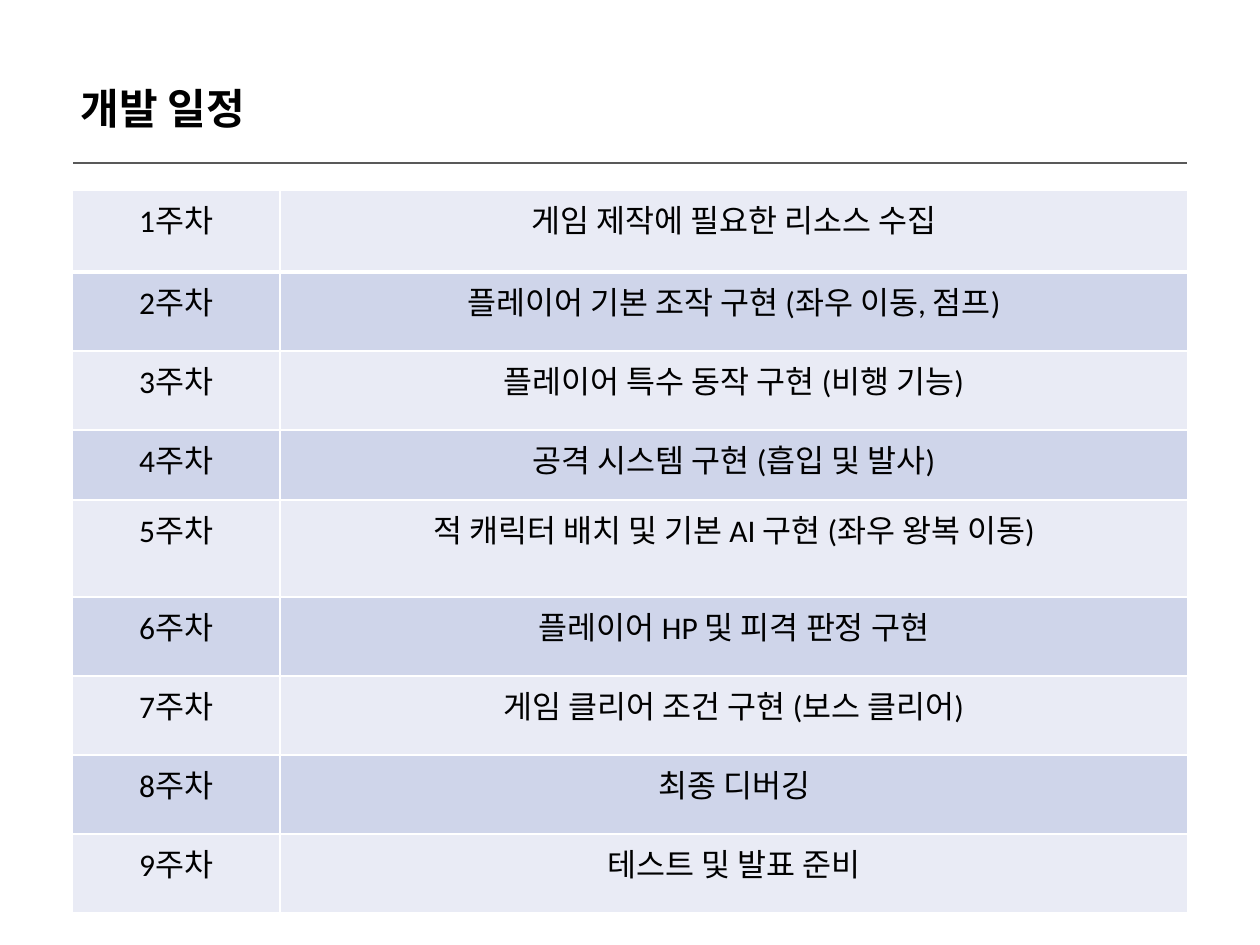
from dataclasses import dataclass

from lxml.etree import SubElement
from pptx import Presentation
from pptx.dml.color import RGBColor
from pptx.enum.text import MSO_ANCHOR as Anchor, PP_ALIGN as Align
from pptx.oxml.ns import qn
from pptx.util import Emu, Pt

PX_PER_INCH = 126


@dataclass(frozen=True)
class Theme:
    ink: str = "000000"
    rule: str = "595959"
    grid: str = "FFFFFF"
    bands: tuple = ("E9EBF5", "CFD5EA")
    latin: str = "Calibri"
    korean: str = "Noto Sans CJK KR"
    title_size: int = 24
    body_size: int = 18


def px(length):
    return Emu(round(length * 914400 / PX_PER_INCH))


class SlideBuilder:
    def __init__(self, slide, theme):
        self.slide = slide
        self.theme = theme

    def table(self, left, top, widths, heights):
        """Add an unstyled grid with the given column widths and row heights."""
        grid = self.slide.shapes.add_table(
            len(heights), len(widths), px(left), px(top),
            px(sum(widths)), px(sum(heights))).table
        grid.first_row = grid.horz_banding = False
        for column, width in zip(grid.columns, widths):
            column.width = px(width)
        for row, height in zip(grid.rows, heights):
            row.height = px(height)
        return grid

    def borders(self, cell, color, **points):
        """Draw the named sides (L, R, T, B, in that order) in points."""
        properties = cell._tc.get_or_add_tcPr()
        for side, width in points.items():
            line = SubElement(properties, qn(f"a:ln{side}"), w=str(Pt(width)))
            fill = SubElement(line, qn("a:solidFill"))
            SubElement(fill, qn("a:srgbClr"), val=color)

    def text(self, cell, words, latin, align=Align.LEFT, **style):
        paragraph = cell.text_frame.paragraphs[0]
        paragraph.alignment = align
        run = paragraph.add_run()
        run.text = words
        for name, value in {"name": latin, **style}.items():
            setattr(run.font, name, value)
        run.font.color.rgb = RGBColor.from_string(self.theme.ink)
        SubElement(run._r.get_or_add_rPr(), qn("a:ea"),
                   typeface=self.theme.korean)

    def heading(self, words, left, top, width, height):
        """Add a title with a rule below it."""
        cell = self.table(left, top, [width], [height]).cell(0, 0)
        cell_format = {
            "vertical_anchor": Anchor.MIDDLE,
            "margin_left": px(9), "margin_right": px(9),
            "margin_top": px(5), "margin_bottom": px(5),
        }
        for name, value in cell_format.items():
            setattr(cell, name, value)
        self.borders(cell, self.theme.rule, B=1)
        cell.fill.background()
        self.text(cell, words, self.theme.korean,
                  size=Pt(self.theme.title_size), bold=True)

    def schedule(self, tasks, left, top, widths, heights):
        """Add one banded row per week, with a thick line under the first."""
        grid = self.table(left, top, widths, heights)
        for index, task in enumerate(tasks):
            band = RGBColor.from_string(self.theme.bands[index % 2])
            for column, words in enumerate((f"{index + 1}주차", task)):
                cell = grid.cell(index, column)
                self.borders(cell, self.theme.grid, L=1, R=1,
                             T=3 if index == 1 else 1,
                             B=3 if index == 0 else 1)
                cell.fill.solid()
                cell.fill.fore_color.rgb = band
                self.text(cell, words, self.theme.latin, Align.CENTER,
                          size=Pt(self.theme.body_size))


def main():
    deck = Presentation()
    deck.slide_width, deck.slide_height = px(1260), px(945)
    builder = SlideBuilder(deck.slides.add_slide(deck.slide_layouts[6]), Theme())

    # Title
    builder.heading("개발 일정", 72, 49, 1116, 114)

    # Weekly schedule
    tasks = [
        "게임 제작에 필요한 리소스 수집",
        "플레이어 기본 조작 구현 (좌우 이동, 점프)",
        "플레이어 특수 동작 구현 (비행 기능)",
        "공격 시스템 구현 (흡입 및 발사)",
        "적 캐릭터 배치 및 기본 AI 구현 (좌우 왕복 이동)",
        "플레이어 HP 및 피격 판정 구현",
        "게임 클리어 조건 구현 (보스 클리어)",
        "최종 디버깅",
        "테스트 및 발표 준비",
    ]
    heights = [82, 79, 79, 70, 97] + [79] * 4
    builder.schedule(tasks, 72, 190, [208, 908], heights)

    deck.save("out.pptx")


if __name__ == "__main__":
    main()
